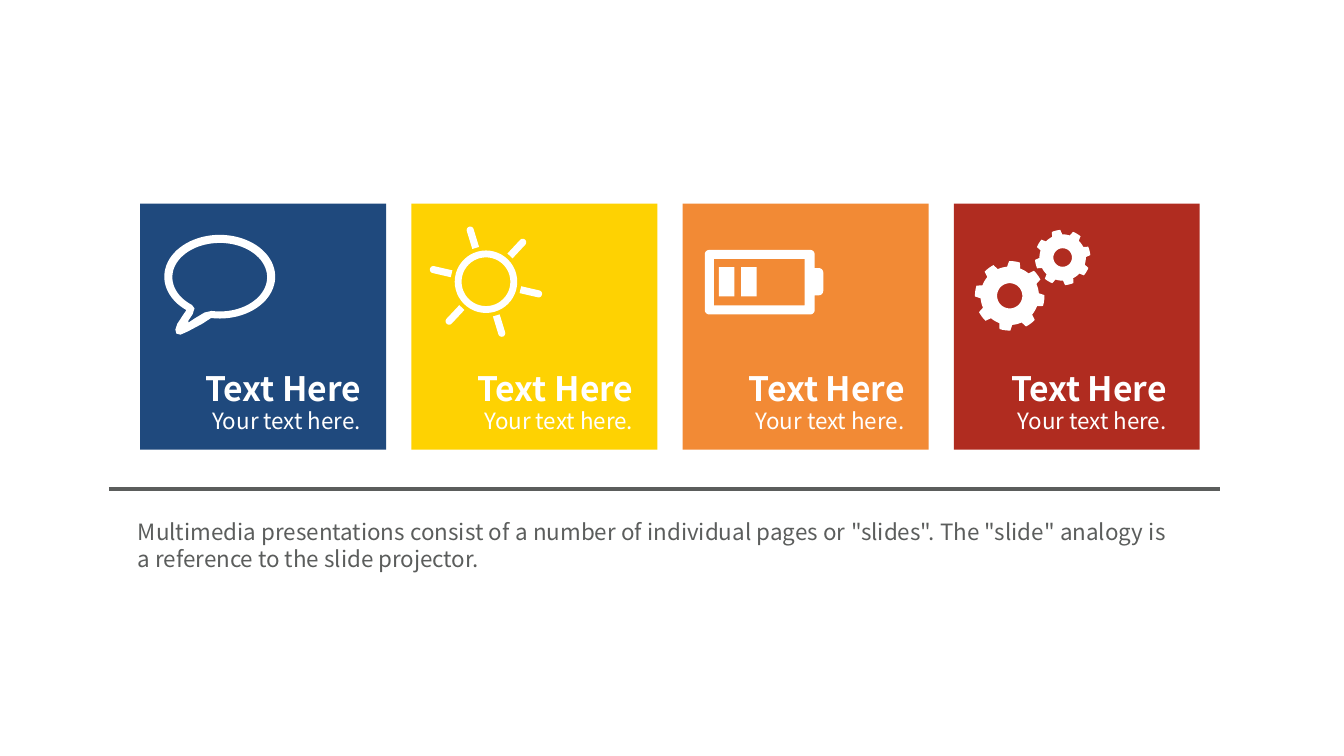
from math import cos, radians, sin

from lxml import etree
from pptx import Presentation
from pptx.dml.color import RGBColor
from pptx.enum.shapes import MSO_CONNECTOR, MSO_SHAPE as Preset
from pptx.enum.text import MSO_AUTO_SIZE as AutoSize, PP_ALIGN as Align
from pptx.oxml.ns import qn
from pptx.util import Inches, Pt

WHITE, GRAY = "FFFFFF", "5B5D5C"
CARD_LEFT, CARD_TOP, CARD_SIZE, CARD_PITCH = 13.9, 20.2, 24.4, 26.9


def color(hex_code):
    return RGBColor.from_string(hex_code)


def grid(count):
    """Length of a number of grid columns or rows, ten to the inch."""
    return Inches(count / 10)


def arc(x, y, rx, ry, start=0, end=360, steps=72):
    """Points of an elliptical arc; angles run clockwise from the right."""
    angles = [radians(start + (end - start) * i / steps) for i in range(steps + 1)]
    return [(x + rx * cos(a), y + ry * sin(a)) for a in angles]


class Board:
    """Draws on one slide in grid units, measured from a movable corner."""

    font = "Noto Sans CJK SC"

    def __init__(self, slide):
        self.slide = slide
        self.start_group(0, 0, slide.shapes)

    def start_group(self, left, top, shapes=None):
        self.left, self.top = left, top
        self.shapes = shapes or self.slide.shapes.add_group_shape().shapes

    def place(self, x, y):
        return grid(self.left + x), grid(self.top + y)

    def paint(self, shape, fill):
        shape.shadow.inherit = False
        shape.fill.solid()
        shape.fill.fore_color.rgb = color(fill)
        shape.line.fill.background()

    def preset(self, kind, x, y, width, height, fill=WHITE):
        shape = self.shapes.add_shape(kind, *self.place(x, y), grid(width), grid(height))
        self.paint(shape, fill)
        return shape

    def outline(self, *contours):
        """White freeform; contours after the first cut holes."""
        first, *holes = [[self.place(*point) for point in contour] for contour in contours]
        builder = self.shapes.build_freeform(*first[0])
        builder.add_line_segments(first[1:])
        for hole in holes:
            builder.move_to(*hole[0])
            builder.add_line_segments(hole[1:])
        self.paint(builder.convert_to_shape(), WHITE)

    def text(self, words, x, y, width, height, size, ink=WHITE, bold=False, align=Align.LEFT):
        frame = self.shapes.add_textbox(*self.place(x, y), grid(width), grid(height)).text_frame
        frame.word_wrap = True
        frame.auto_size = AutoSize.SHAPE_TO_FIT_TEXT
        frame.text = words
        paragraph = frame.paragraphs[0]
        paragraph.alignment = align
        font = paragraph.runs[0].font
        font.name, font.size, font.bold = self.font, Pt(size), bold
        font.color.rgb = color(ink)

    def rule(self, x, y, width):
        line = self.shapes.add_connector(
            MSO_CONNECTOR.STRAIGHT, *self.place(x, y), *self.place(x + width, y))
        line.line.color.rgb = color(GRAY)
        line.line.width = Pt(3)
        etree.SubElement(line._element.spPr, qn("a:effectLst"))


def speech_bubble(board):
    tail = [(6.2, 11.9), (4.7, 12.7), (4, 13), (3.6, 12.9), (3.5, 12.5), (3.7, 11.9), (4.3, 11)]
    tail_hole = [(6.4, 10.8), (5.4, 11.4), (4.8, 11.8), (4.8, 11.6), (5.2, 11), (5.4, 10.4)]
    board.outline(arc(7.9, 7.25, 5.5, 4.15, 127, 459) + tail,
                  arc(7.9, 7.3, 4.7, 3.4, 126, 460) + tail_hole)


def sun(board):
    x, y, radius, half_width = 7.4, 7.75, 3.1, 0.35
    for angle in range(13, 373, 60):
        dx, dy = cos(radians(angle)), sin(radians(angle))
        base = [(x + 3.5 * dx - side * dy, y + 3.5 * dy + side * dx)
                for side in (half_width, -half_width)]
        tip = arc(x + 5.35 * dx, y + 5.35 * dy, half_width, half_width,
                  angle - 90, angle + 90, 12)
        board.outline(base + tip)
    ring = board.preset(Preset.DONUT, x - radius, y - radius, 2 * radius, 2 * radius)
    ring.adjustments[0] = 0.11


def battery(board):
    for x in (3.6, 5.8):
        board.preset(Preset.RECTANGLE, x, 6.3, 1.55, 2.9)
    corners = [(2.65, 5.05, 180), (12.65, 5.05, 270), (13.5, 6.85, 270),
               (13.5, 8.65, 0), (12.65, 10.55, 0), (2.65, 10.55, 90)]
    rounded = [arc(x, y, 0.45, 0.45, start, start + 90, 8) for x, y, start in corners]
    # The terminal joins the body at two inner corners.
    rounded.insert(2, [(13.1, 6.4)])
    rounded.insert(5, [(13.1, 9.1)])
    board.outline(sum(rounded, []), [(3.1, 5.5), (12.1, 5.5), (12.1, 10.1), (3.1, 10.1)])


def gear(board, x, y, tip, root, hole, turn):
    rim = []
    for angle in range(turn, turn + 360, 45):
        rim += arc(x, y, tip, tip, angle - 9, angle + 9, 4)
        rim += arc(x, y, root, root, angle + 13, angle + 32, 4)
    board.outline(rim, arc(x, y, hole, hole))


def gears(board):
    gear(board, 5.55, 9.15, 3.45, 2.9, 1.25, 8)
    gear(board, 10.8, 5.35, 2.75, 2.3, 0.92, -14)


def main():
    deck = Presentation()
    deck.slide_width, deck.slide_height = Inches(13.33), Inches(7.5)
    board = Board(deck.slides.add_slide(deck.slide_layouts[6]))

    cards = [("1F497D", speech_bubble, 5.5), ("FED202", sun, 5.6),
             ("F28A35", battery, 5.6), ("B02C20", gears, 4.7)]
    for column, (fill, draw_icon, heading_left) in enumerate(cards):
        board.start_group(CARD_LEFT + column * CARD_PITCH, CARD_TOP)
        board.preset(Preset.RECTANGLE, 0, 0, CARD_SIZE, CARD_SIZE, fill)
        draw_icon(board)
        board.text("Your text here.", heading_left + 0.65, 19.7, 18.9, 3.7, 16)
        board.text("Text Here", heading_left, 15.8, 20.2, 5, 24, bold=True)

    board.start_group(0, 0, board.slide.shapes)
    board.text('Multimedia presentations consist of a number of individual pages or "slides". '
               'The "slide" analogy is a reference to the slide projector.',
               12.7, 50.9, 104, 6.4, 16, GRAY, align=Align.JUSTIFY)
    board.rule(10.8, 48.5, 110.2)
    deck.save("out.pptx")


if __name__ == "__main__":
    main()
